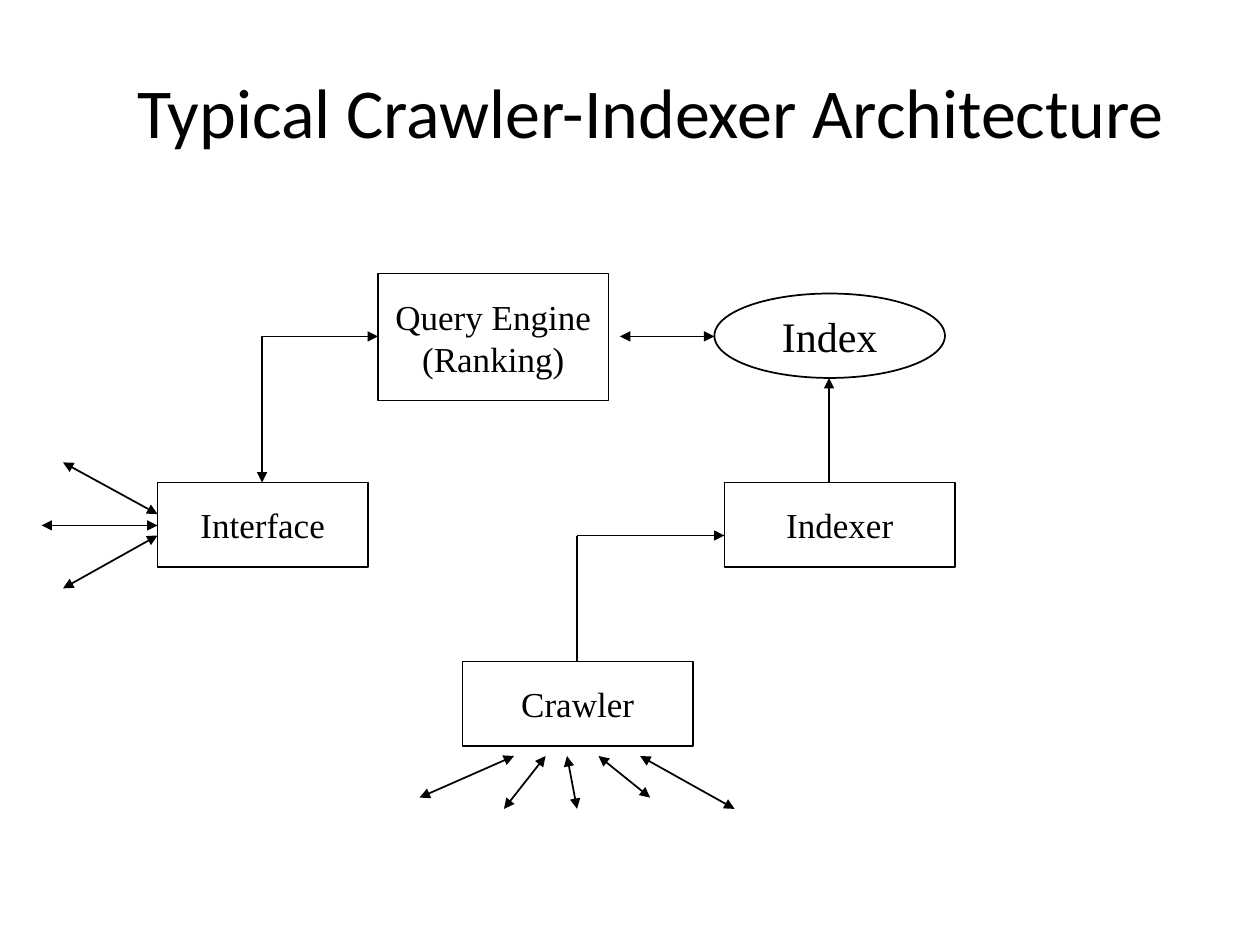
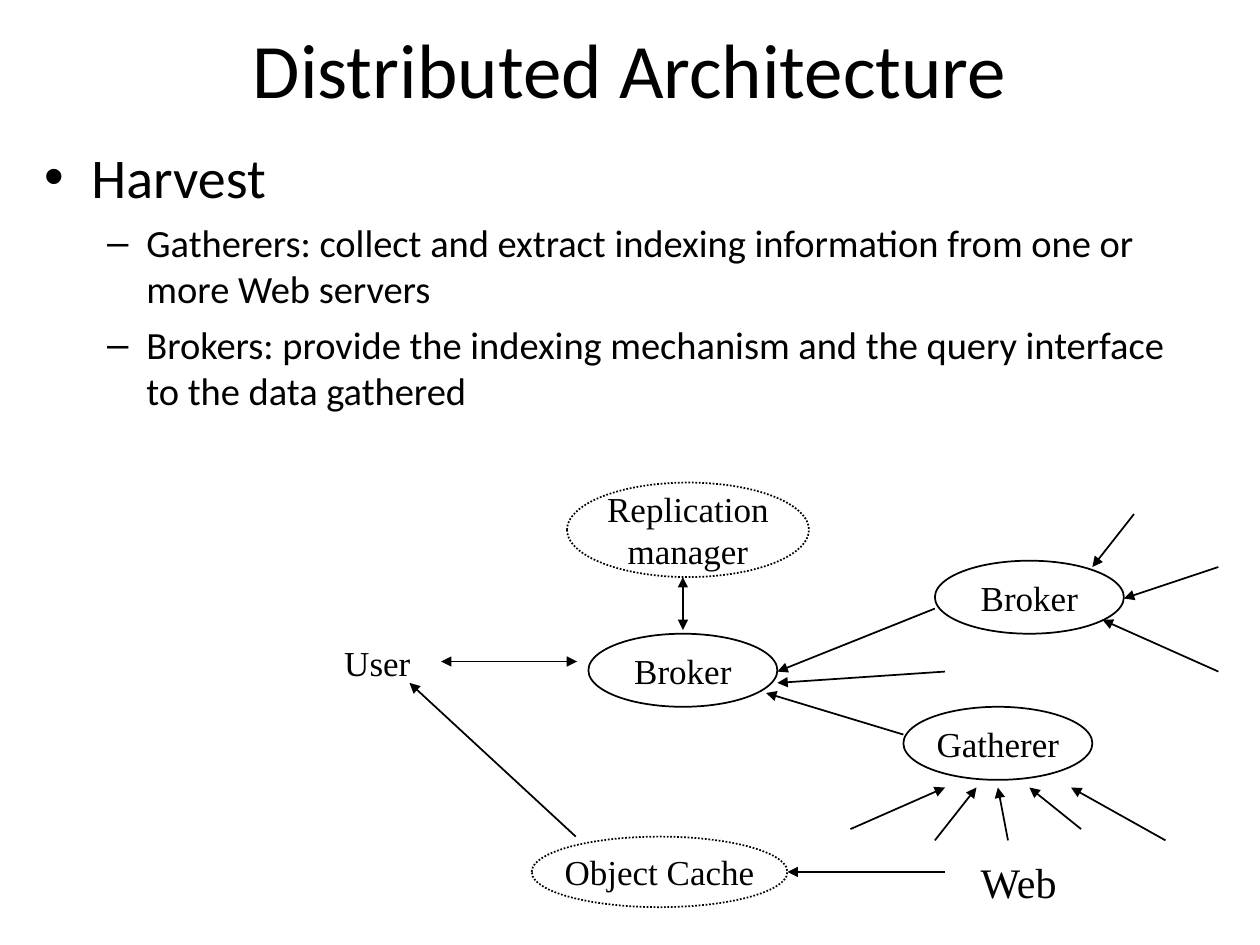
from pptx import Presentation
from pptx import util as u
from pptx.dml.color import RGBColor
from pptx.enum import dml, shapes, text
from pptx.oxml import ns
from lxml import etree

COLORS = {"ink": "000000"}
INK = RGBColor.from_string(COLORS["ink"])
TITLE_FONT = "Calibri"
LABEL_FONT = "Times New Roman"
BOX = shapes.MSO_SHAPE.RECTANGLE
OVAL = shapes.MSO_SHAPE.OVAL
TITLE_ONLY, TITLE_AND_BODY = 5, 1

# Start and end of each arrow in a fan, pointing up at the node above it
FAN = [((0, 0.33), (0.75, 0)), ((0.67, 0.42), (1, 0)), ((1.25, 0.42), (1.17, 0)),
       ((1.83, 0.33), (1.42, 0)), ((2.5, 0.42), (1.75, 0))]


def style(para, font, size):
    para.font.name = font
    para.font.size = u.Pt(size)
    para.font.color.rgb = INK


def move(shape, left, top, width, height):
    shape.left, shape.top = u.Inches(left), u.Inches(top)
    shape.width, shape.height = u.Inches(width), u.Inches(height)


def add_page(deck, layout, title, box, size):
    page = deck.slides.add_slide(deck.slide_layouts[layout])
    move(page.shapes.title, *box)
    frame = page.shapes.title.text_frame
    frame.text = title
    frame.auto_size = text.MSO_AUTO_SIZE.NONE
    frame.vertical_anchor = text.MSO_ANCHOR.MIDDLE
    frame.paragraphs[0].alignment = text.PP_ALIGN.CENTER
    style(frame.paragraphs[0], TITLE_FONT, size)
    return page


def fill_body(body, box, items):
    """Write (level, size, space before, wording) items as a bulleted list."""
    move(body, *box)
    frame = body.text_frame
    frame.auto_size = text.MSO_AUTO_SIZE.NONE
    for index, (level, size, space, wording) in enumerate(items):
        para = frame.paragraphs[0] if index == 0 else frame.add_paragraph()
        para.text = wording
        para.level = level
        para.space_before = u.Pt(space)
        style(para, TITLE_FONT, size)


class Diagram:
    """Nodes and arrows measured from the diagram's top left corner."""

    def __init__(self, page, left, top):
        self.page, self.left, self.top = page, left, top

    def place(self, x, y):
        return u.Inches(self.left + x), u.Inches(self.top + y)

    def label(self, shape, wording, size, wrap=False):
        frame = shape.text_frame
        frame.text = wording
        frame.word_wrap = wrap
        frame.margin_left = frame.margin_right = 0
        frame.margin_top = frame.margin_bottom = 0
        frame.vertical_anchor = text.MSO_ANCHOR.MIDDLE
        for para in frame.paragraphs:
            para.alignment = text.PP_ALIGN.CENTER
            style(para, LABEL_FONT, size)

    def node(self, kind, wording, box, size=20, dotted=False, wrap=False):
        x, y, width, height = box
        shape = self.page.shapes.add_shape(
            kind, *self.place(x, y), u.Inches(width), u.Inches(height))
        shape.shadow.inherit = False
        shape.fill.background()
        shape.line.color.rgb = INK
        shape.line.width = u.Pt(1)
        if dotted:
            shape.line.dash_style = dml.MSO_LINE.ROUND_DOT
        self.label(shape, wording, size, wrap)

    def caption(self, wording, box, size=20):
        x, y, width, height = box
        shape = self.page.shapes.add_textbox(
            *self.place(x, y), u.Inches(width), u.Inches(height))
        self.label(shape, wording, size)

    def arrow(self, start, end, heads=("tailEnd",)):
        line = self.page.shapes.add_connector(
            shapes.MSO_CONNECTOR.STRAIGHT, *self.place(*start), *self.place(*end))
        line.line.color.rgb = INK
        line.line.width = u.Pt(1)
        outline = line.line._get_or_add_ln()
        for head in heads:
            etree.SubElement(outline, ns.qn("a:" + head), type="triangle")
        etree.SubElement(line._element.spPr, ns.qn("a:effectLst"))

    def double_arrow(self, start, end):
        self.arrow(start, end, ("headEnd", "tailEnd"))

    def fan(self, x, y, draw):
        for start, end in FAN:
            draw((x + start[0], y + start[1]), (x + end[0], y + end[1]))


def draw_crawler_indexer(page, left, top):
    diagram = Diagram(page, left, top)
    diagram.node(BOX, "Query Engine\n(Ranking)", (2.67, 0, 1.83, 1.01))
    diagram.node(BOX, "Interface", (0.92, 1.66, 1.67, 0.67))
    diagram.node(BOX, "Crawler", (3.34, 3.08, 1.83, 0.67))
    diagram.node(BOX, "Indexer", (5.42, 1.66, 1.83, 0.67))
    diagram.node(OVAL, "Index", (5.34, 0.16, 1.83, 0.67), size=24)

    for start, end in [((0.17, 1.5), (0.92, 1.91)), ((0, 2), (0.92, 2)),
                       ((0.17, 2.5), (0.92, 2.08)), ((4.59, 0.5), (5.34, 0.5))]:
        diagram.double_arrow(start, end)
    diagram.fan(3, 3.83, diagram.double_arrow)

    query_corner, crawler_corner = (1.75, 0.5), (4.25, 2.08)
    diagram.arrow(query_corner, (2.67, 0.5))
    diagram.arrow(query_corner, (1.75, 1.66))
    diagram.arrow(crawler_corner, (5.42, 2.08))
    diagram.arrow(crawler_corner, (4.25, 3.08), heads=())
    diagram.arrow((6.25, 1.66), (6.25, 0.83))


def draw_harvest(page, left, top):
    diagram = Diagram(page, left, top)
    for wording, x, y in [("Broker", 4.84, 0.62), ("Gatherer", 4.59, 1.78),
                          ("Broker", 2.09, 1.2)]:
        diagram.node(OVAL, wording, (x, y, 1.5, 0.58))
    diagram.node(OVAL, "Replication manager", (1.92, 0, 1.92, 0.75),
                 dotted=True, wrap=True)
    diagram.node(OVAL, "Object Cache", (1.64, 2.81, 2.03, 0.56), dotted=True)
    diagram.caption("User", (0, 1.09, 0.83, 0.67))
    diagram.caption("Web", (5.09, 2.92, 0.83, 0.5), size=24)

    diagram.fan(4.17, 2.42, diagram.arrow)
    into_outer_broker = [((6.42, 0.25), (6.09, 0.67)), ((7.09, 0.67), (6.34, 0.92)),
                         ((7.09, 1.5), (6.17, 1.09))]
    into_main_broker = [((4.84, 1), (3.59, 1.5)), ((4.92, 1.5), (3.59, 1.59)),
                        ((4.59, 2), (3.5, 1.67))]
    through_cache = [((4.92, 3.09), (3.67, 3.09)), ((1.99, 2.81), (0.67, 1.59))]
    for start, end in into_outer_broker + into_main_broker + through_cache:
        diagram.arrow(start, end)
    diagram.double_arrow((0.92, 1.42), (2, 1.42))
    diagram.double_arrow((2.84, 0.75), (2.84, 1.17))


def main():
    deck = Presentation()
    deck.slide_width, deck.slide_height = u.Inches(10), u.Inches(7.5)

    page = add_page(deck, TITLE_ONLY, "Typical Crawler-Indexer Architecture",
                    (0.75, 0.25, 8.83, 1.25), 40)
    draw_crawler_indexer(page, 0.33, 2.17)

    page = add_page(deck, TITLE_AND_BODY, "Distributed Architecture",
                    (0.5, 0, 9, 1.08), 44)
    fill_body(page.placeholders[1], (0.25, 1.08, 9.42, 2.25), [
        (0, 32, 0, "Harvest"),
        (1, 22, 5.5, "Gatherers: collect and extract indexing information "
                     "from one or more Web servers"),
        (1, 22, 5.5, "Brokers: provide the indexing mechanism and the query "
                     "interface to the data gathered"),
    ])
    draw_harvest(page, 2.58, 3.83)

    deck.save("out.pptx")


if __name__ == "__main__":
    main()
